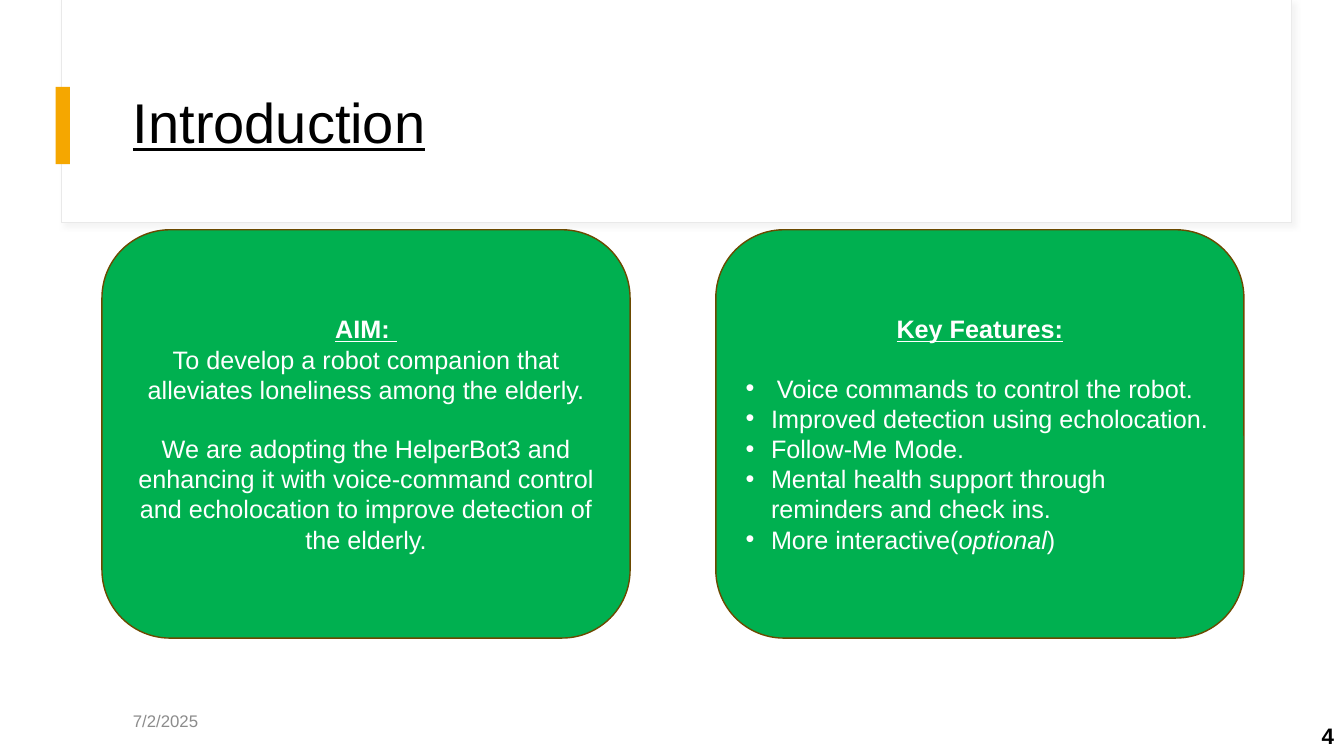
from lxml.etree import SubElement
from pptx import Presentation
from pptx.dml.color import RGBColor as Rgb
from pptx.enum.shapes import MSO_SHAPE as Shape
from pptx.enum.text import MSO_ANCHOR as Anchor, PP_ALIGN as Align
from pptx.oxml.ns import qn
from pptx.util import Cm, Pt

COLORS = {
    "white": "FFFFFF",
    "black": "000000",
    "frame": "E9E9E9",
    "shadow": "D9D9D9",
    "accent": "F5A700",
    "card": "00B050",
    "card_edge": "6B4900",
    "date": "8C8C8C",
}
FONT = "Arial"
BODY_SIZE = 18
BLANK_LINE = 20.7

AIM = [
    dict(text="To develop a robot companion that alleviates loneliness among the elderly."),
    dict(text="\u00a0We are adopting the HelperBot3 and enhancing it with voice-command control "
              "and echolocation to improve detection of the elderly.".strip("\u00a0"),
         before=BLANK_LINE),
]
FEATURES = [
    dict(text="Voice commands to control the robot.", indent=0.79, before=BLANK_LINE),
    dict(text="Improved detection using echolocation.", indent=0.64),
    dict(text="Follow-Me Mode.", indent=0.64),
    dict(text="Mental health support through reminders and check ins.", indent=0.64),
    dict(text="More interactive(", indent=0.64),
]


def color(name):
    return Rgb.from_string(COLORS[name])


def add_run(paragraph, text, size=BODY_SIZE, ink="white", bold=False,
            italic=False, underline=False):
    run = paragraph.add_run()
    run.text = text
    font = run.font
    font.name, font.size = FONT, Pt(size)
    font.bold, font.italic, font.underline = bold, italic, underline
    font.color.rgb = color(ink)


def write(frame, text, align=Align.LEFT, before=0, indent=0, spacing=None, **style):
    first = frame.paragraphs[0]
    paragraph = frame.add_paragraph() if first.runs else first
    paragraph.alignment = align
    paragraph.space_before = Pt(before)
    if spacing:
        paragraph.line_spacing = spacing
    if indent:
        properties = paragraph._p.get_or_add_pPr()
        properties.set("marL", str(Cm(indent)))
        properties.set("indent", str(-Cm(indent)))
        SubElement(properties, qn("a:buFont"), typeface=FONT)
        SubElement(properties, qn("a:buChar"), char="•")
    add_run(paragraph, text, **style)
    return paragraph


def add_panel(slide, kind, box, fill, edge=None, edge_width=1):
    panel = slide.shapes.add_shape(kind, *map(Cm, box))
    panel.shadow.inherit = False
    panel.fill.solid()
    panel.fill.fore_color.rgb = color(fill)
    if edge:
        panel.line.color.rgb = color(edge)
        panel.line.width = Pt(edge_width)
    else:
        panel.line.fill.background()
    return panel


def cast_shadow(panel):
    effects = panel._element.spPr.find(qn("a:effectLst"))
    shadow = SubElement(effects, qn("a:outerShdw"), blurRad=str(Pt(4)),
                        dist=str(Pt(3)), dir=str(45 * 60000), rotWithShape="0")
    tint = SubElement(shadow, qn("a:srgbClr"), val=COLORS["shadow"])
    SubElement(tint, qn("a:alpha"), val="30000")


def add_label(slide, box, text, **style):
    label = slide.shapes.add_textbox(*map(Cm, box))
    frame = label.text_frame
    frame.word_wrap = True
    frame.vertical_anchor = Anchor.MIDDLE
    write(frame, text, **style)


def add_header(slide, box):
    left, top, width, height = box
    banner = add_panel(slide, Shape.RECTANGLE, box, "white", "frame", 0.75)
    cast_shadow(banner)
    add_panel(slide, Shape.RECTANGLE,
              (left + 0.02, top, width - 0.04, height - 0.02), "white")
    add_panel(slide, Shape.RECTANGLE, (left - 0.15, top + 2.19, 0.36, 1.95), "accent")
    add_label(slide, (left + 1.55, top + 1.52, 28.24, 3.28), "Introduction",
              size=40, ink="black", underline=True, spacing=0.9)


def add_card(slide, box, heading, lines, align):
    card = add_panel(slide, Shape.ROUNDED_RECTANGLE, box, "card", "card_edge")
    frame = card.text_frame
    frame.word_wrap = True
    frame.vertical_anchor = Anchor.MIDDLE
    write(frame, heading, align=Align.CENTER, bold=True, underline=True)
    for line in lines:
        last = write(frame, align=align, **line)
    return last


def add_footer(slide, box):
    left, top, width, height = box
    label_width = 7.62
    add_label(slide, (left, top, label_width, height), "7/2/2025", size=12, ink="date")
    add_label(slide, (left + width - label_width, top + 0.38, label_width, height), "4",
              align=Align.RIGHT, size=16, ink="black", bold=True)


def main():
    deck = Presentation()
    deck.slide_width, deck.slide_height = Cm(33.87), Cm(19.05)
    slide = deck.slides.add_slide(deck.slide_layouts[6])

    add_header(slide, (1.55, 0, 31.01, 5.61))
    add_footer(slide, (3.1, 17.65, 30.77, 1.02))

    card_left, card_step = 2.57, 15.47
    card_top, card_width, card_height = 5.79, 13.31, 10.29
    add_card(slide, (card_left, card_top, card_width, card_height),
             "AIM: ", AIM, Align.CENTER)
    interactive = add_card(
        slide, (card_left + card_step, card_top, card_width, card_height),
        "Key Features:", FEATURES, Align.LEFT)
    add_run(interactive, "optional", italic=True)
    add_run(interactive, ")")

    deck.save("out.pptx")


if __name__ == "__main__":
    main()
